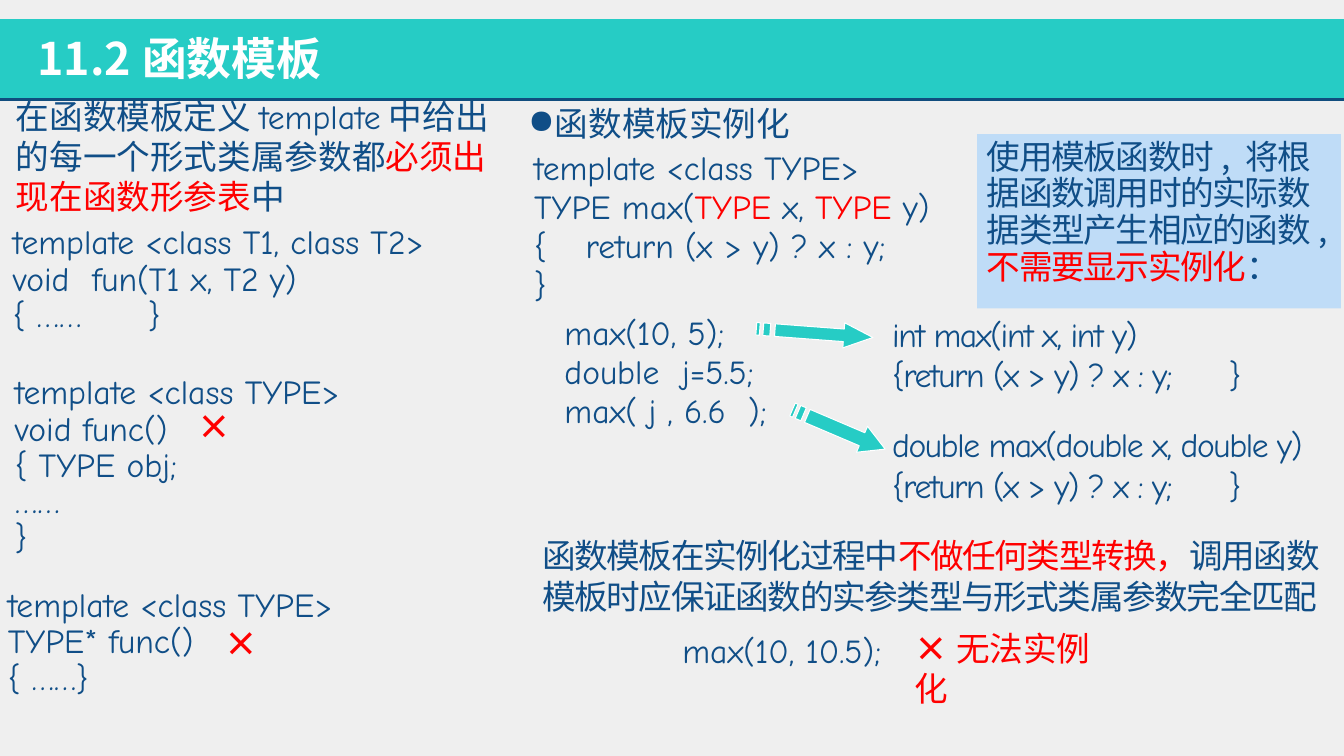
import pptx
import pptx.util
import pptx.dml.color
import pptx.enum.shapes
import pptx.enum.text
import pptx.oxml.ns
import lxml.etree

Inches = pptx.util.Inches
Pt = pptx.util.Pt
qn = pptx.oxml.ns.qn
KINDS = pptx.enum.shapes.MSO_SHAPE

THEME = {
    "page": "EFEFEF", "teal": "26CCC5", "rule": "104D7E", "ink": "104E87",
    "red": "FF0000", "pale": "BFDCF7", "white": "FFFFFF",
    "code": "Comic Neue", "han": "Noto Sans CJK JP", "point": "Noto Sans CJK SC",
    "head": 32, "body": 24,
}

TITLE = "11.2函数模板"
HAN = {"font": "han", "lead": Pt(29.2)}
TIGHT = {"lead": 0.9}
LOOSE = {"lead": 0.8, "before": 4.8}
CALL = {"space": -1, "tab": 3.34}

TEXTS = [
    ((0.06, 0.9, 5.08, 0.97),
     ["在函数模板定义template中给出的每一个形式类属参数都|必须出现在函数形参表|中"],
     {"lead": Pt(28.8)}),
    ((0.03, 2.19, 4.81, 1.42),
     ["template <class T1, class T2>", "void  fun(T1 x, T2 y)", "{ …… \t}"],
     {"tab": 1.34, **TIGHT}),
    ((0.05, 3.68, 3.72, 2.36),
     ["template <class TYPE>", "void func()", "{ TYPE obj;", "……", "}"], TIGHT),
    ((-0.02, 5.79, 4.33, 1.62),
     ["template <class TYPE>", "TYPE* func()", "{ ……}"], TIGHT),
    ((2.13, 6.12, 0.54, 0.51), ["|×"], HAN),
    ((1.86, 3.97, 0.54, 0.5), ["|×"], HAN),
    ((5.2, 1.49, 4.77, 1.73),
     ["template <class TYPE>", "TYPE max(|TYPE| x, |TYPE| y)",
      "{\treturn (x > y) ? x : y;", "}"],
     {"hang": 0.51, **LOOSE}),
    ((5.5, 3.12, 2.75, 1.17),
     ["max(10, 5);", "double  j=5.5;", "max( j , 6.6  );"], LOOSE),
    ((8.75, 3.06, 3.78, 0.91),
     ["int max(int x, int y)", "{return (x > y) ? x : y;\t}"], CALL),
    ((8.75, 4.16, 4.66, 0.91),
     ["double max(double x, double y)", "{return (x > y) ? x : y;\t}"], CALL),
    ((9.69, 1.33, 3.61, 1.73),
     ["使用模板函数时, 将根据函数调用时的实际数据类型产生相应的函数,|不需要显示实例化|："],
     {"font": "han", "space": -1, "lead": Pt(26.3), "fill": "pale"}),
    ((5.28, 5.25, 8.05, 0.91),
     ["函数模板在实例化过程中|不做任何类型转换，|调用函数模板时应保证函数的实参类型与形式类属参数完全匹配"],
     {"space": -1, **HAN}),
    ((6.67, 6.28, 2.56, 0.42), ["max(10, 10.5);"], LOOSE),
    ((8.97, 6.17, 2.22, 0.5), ["|×||无法实例化"], HAN),
    ((5.14, 0.97, 3.06, 0.5), ["函数模板实例化"],
     {"font": "point", "lead": Pt(29.2), "mark": "●"}),
]

ARROWS = [((7.5, 3.18, 1.16, 0.25), 4.3), ((7.82, 4.12, 1, 0.28), 23.1)]
PARTS = [
    [(0.75, 0), (0.75, 0.25), (0.16, 0.25), (0.16, 0.75), (0.75, 0.75), (0.75, 1), (1, 0.5)],
    [(0.06, 0.25), (0.06, 0.75), (0.12, 0.75), (0.12, 0.25)],
    [(0, 0.25), (0, 0.75), (0.03, 0.75), (0.03, 0.25)],
]


def tint(name):
    return pptx.dml.color.RGBColor.from_string(THEME[name])


def write(frame, lines, *, font="code", size="body", ink="ink", bold=False,
          lead=None, before=0, space=0, tab=None, hang=0, mark=None):
    frame.word_wrap = True
    frame.auto_size = pptx.enum.text.MSO_AUTO_SIZE.NONE
    frame.vertical_anchor = pptx.enum.text.MSO_ANCHOR.TOP
    for row, line in enumerate(lines):
        para = frame.add_paragraph() if row else frame.paragraphs[0]
        para.alignment = pptx.enum.text.PP_ALIGN.LEFT
        para.line_spacing = lead
        para.space_before = Pt(before if row else 0)
        props = para._p.get_or_add_pPr()
        if hang:
            props.set("marL", str(Inches(hang)))
            props.set("indent", str(-Inches(hang)))
        if mark:
            lxml.etree.SubElement(props, qn("a:buChar")).set("char", mark)
        if tab:
            stops = lxml.etree.SubElement(props, qn("a:tabLst"))
            stop = lxml.etree.SubElement(stops, qn("a:tab"))
            stop.set("pos", str(Inches(tab)))
            stop.set("algn", "l")
        for turn, part in enumerate(line.split("|")):
            if not part:
                continue
            run = para.add_run()
            run.text = part
            run.font.size = Pt(THEME[size])
            run.font.bold = bold or part == "×"
            run.font.color.rgb = tint("red" if turn % 2 else ink)
            run.font.name = THEME[font]
            face = run._r.get_or_add_rPr()
            east = THEME["point" if font == "code" else font]
            lxml.etree.SubElement(face, qn("a:ea")).set("typeface", east)
            if space:
                face.set("spc", str(space * 100))


def block(shapes, box, fill):
    shape = shapes.add_shape(KINDS.RECTANGLE, *map(Inches, box))
    shape.shadow.inherit = False
    shape.fill.solid()
    shape.fill.fore_color.rgb = tint(fill)
    shape.line.fill.background()
    return shape


def arrow(shapes, box, turn):
    left, top, width, height = box
    spots = [[(Inches(left + x * width), Inches(top + y * height)) for x, y in part]
             for part in PARTS]
    form = shapes.build_freeform(*spots[0][0])
    for step, part in enumerate(spots):
        if step:
            form.move_to(*part[0])
        form.add_line_segments(part[1:], close=True)
    shape = form.convert_to_shape()
    shape.rotation = turn
    shape.shadow.inherit = False
    shape.fill.solid()
    shape.fill.fore_color.rgb = tint("teal")
    shape.line.color.rgb = tint("white")
    shape.line.width = Pt(0.75)


def main():
    deck = pptx.Presentation()
    deck.slide_width, deck.slide_height = Inches(13.33), Inches(7.5)
    slide = deck.slides.add_slide(deck.slide_layouts[5])
    slide.background.fill.solid()
    slide.background.fill.fore_color.rgb = tint("page")
    shapes = slide.shapes

    block(shapes, (0, 0.19, 13.33, 0.8), "teal")
    rule = shapes.add_connector(pptx.enum.shapes.MSO_CONNECTOR.STRAIGHT,
                                0, Inches(0.99), Inches(13.33), Inches(0.99))
    rule.line.color.rgb = tint("rule")
    rule.line.width = Pt(2)
    lxml.etree.SubElement(rule._element.spPr, qn("a:effectLst"))

    title = shapes.title
    title.left, title.top, title.width, title.height = map(Inches, (0.27, 0.25, 8.29, 0.64))
    shapes._spTree.append(title._element)
    write(title.text_frame, [TITLE], font="han", size="head", ink="white",
          bold=True, lead=Pt(39))

    for box, lines, look in TEXTS:
        look = dict(look)
        fill = look.pop("fill", None)
        shape = block(shapes, box, fill) if fill else shapes.add_textbox(*map(Inches, box))
        write(shape.text_frame, lines, **look)
    for box, turn in ARROWS:
        arrow(shapes, box, turn)
    deck.save("out.pptx")


if __name__ == "__main__":
    main()
